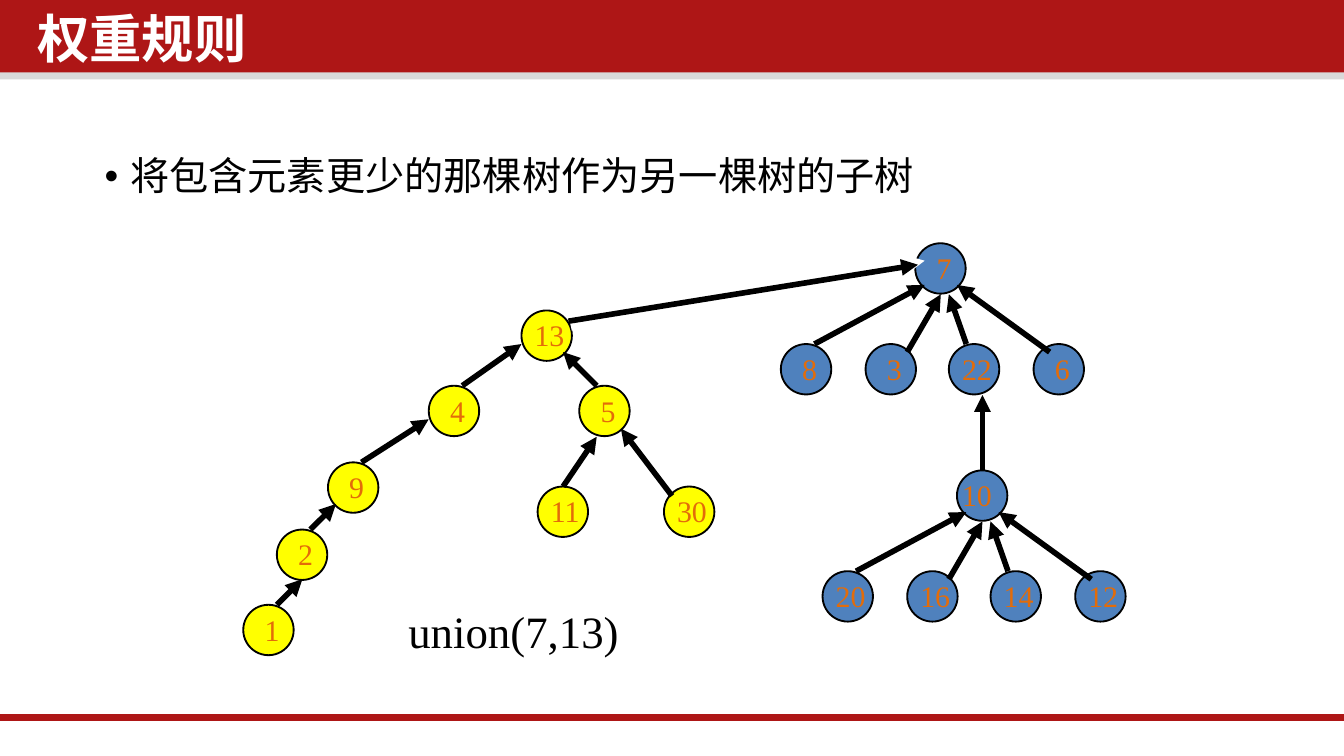
from lxml.etree import SubElement
from pptx import Presentation
from pptx.dml.color import RGBColor
from pptx.enum.shapes import MSO_CONNECTOR, MSO_SHAPE
from pptx.oxml.ns import qn
from pptx.util import Inches, Pt

COLORS = {
    "red": "AE1616", "gray": "D9D9D9", "white": "FFFFFF", "black": "000000",
    "yellow": "FFFF00", "blue": "4F81BD", "orange": "E36C09",
}
SERIF = "Times New Roman"
NODE_SIZE = 3 / 8

# Each node: label, left, top
LIGHT_NODES = [
    ("13", 3.88, 2.31), ("4", 3.19, 2.87), ("5", 4.31, 2.87),
    ("9", 2.44, 3.44), ("11", 4, 3.62), ("30", 4.94, 3.62),
    ("2", 2.06, 3.94), ("1", 1.81, 4.5),
]
# Each edge: point on the parent, point on the child
LIGHT_EDGES = [
    ((3.88, 2.56), (3.44, 2.87)), ((3.19, 3.12), (2.69, 3.44)),
    ((4.19, 2.62), (4.44, 2.87)), ((2.5, 3.75), (2.31, 3.94)),
    ((4.44, 3.25), (4.19, 3.62)), ((4.62, 3.19), (5, 3.69)),
    ((2.25, 4.31), (2.06, 4.5)),
]
# Both fans of the blue tree share these offsets from their root
FAN_CHILD_LEFTS = [-1, -0.37, 0.25, 0.88]
FAN_CHILD_TOP = 0.75
FAN_EDGES = [
    ((0.07, 0.31), (-0.75, 0.75)), ((0.19, 0.38), (-0.06, 0.81)),
    ((0.25, 0.38), (0.38, 0.75)), ((0.31, 0.31), (1, 0.81)),
]
FANS = [
    ("7", 6.81, 1.81, ["8", "3", "22", "6"]),
    ("10", 7.12, 3.5, ["20", "16", "14", "12"]),
]


def rgb(color):
    return RGBColor.from_string(COLORS[color])


class SlideBuilder:
    def __init__(self, slide):
        self.slide = slide
        self.shapes = slide.shapes

    def start_group(self):
        """Send the following elements into a new group."""
        self.shapes = self.slide.shapes.add_group_shape().shapes

    def end_group(self):
        self.shapes = self.slide.shapes

    def shape(self, kind, left, top, width, height, fill, outline=None):
        shape = self.shapes.add_shape(
            kind, Inches(left), Inches(top), Inches(width), Inches(height))
        shape.shadow.inherit = False
        shape.fill.solid()
        shape.fill.fore_color.rgb = rgb(fill)
        if outline:
            shape.line.color.rgb = rgb(outline)
            shape.line.width = Pt(1)
        else:
            shape.line.fill.background()

    def text(self, words, left, top, width, height, size, font, color):
        box = self.shapes.add_textbox(
            Inches(left), Inches(top), Inches(width), Inches(height))
        frame = box.text_frame
        frame.word_wrap = True
        paragraph = frame.paragraphs[0]
        paragraph.text = words
        paragraph.font.size = Pt(size)
        paragraph.font.name = font
        paragraph.font.color.rgb = rgb(color)
        return frame

    def heading(self, words):
        frame = self.text(words, 0.21, 0.06, 7.64, 0.59,
                          28, "Noto Sans CJK SC", "white")
        frame.margin_left = frame.margin_right = Inches(0.07)
        frame.margin_top = frame.margin_bottom = Inches(0.04)
        paragraph = frame.paragraphs[0]
        paragraph.font.bold = True
        paragraph.line_spacing = 0.9
        paragraph.space_before = Pt(7.5)

    def bullet(self, words):
        frame = self.text(words, 0.68, 1.12, 8.88, 3.47, 21, "Cabin", "black")
        paragraph = frame.paragraphs[0]
        paragraph.line_spacing = 0.9
        paragraph.space_before = Pt(7.5)
        properties = paragraph._p.get_or_add_pPr()
        properties.set("marL", str(Inches(0.19)))
        properties.set("indent", str(-Inches(0.19)))
        font = SubElement(properties, qn("a:buFont"), typeface="Arial")
        mark = SubElement(properties, qn("a:buChar"), char="•")
        for element in (font, mark):
            properties.find(qn("a:defRPr")).addprevious(element)

    def node(self, label, left, top, fill, label_shift=None):
        self.shape(MSO_SHAPE.OVAL, left, top, NODE_SIZE, NODE_SIZE,
                   fill, "black")
        single = len(label) == 1
        if label_shift is None:
            label_shift = 0.06 if single else 0
        self.text(label, left + label_shift, top, 0.25 if single else 0.56,
                  0.37, 16, SERIF, "orange")

    def line(self, start, end, color, width, arrow_at=None):
        """Draw a line; arrow_at is headEnd (start), tailEnd (end) or None."""
        line = self.shapes.add_connector(
            MSO_CONNECTOR.STRAIGHT, *map(Inches, start + end))
        line.line.color.rgb = rgb(color)
        line.line.width = Pt(width)
        if arrow_at:
            SubElement(line.line._get_or_add_ln(), qn(f"a:{arrow_at}"),
                       type="triangle")
        SubElement(line._element.spPr, qn("a:effectLst"))

    def edge(self, parent, child):
        self.line(parent, child, "black", 3, "headEnd")


def main():
    deck = Presentation()
    deck.slide_width = Inches(10)
    deck.slide_height = deck.slide_width * 9 // 16
    page = SlideBuilder(deck.slides.add_slide(deck.slide_layouts[6]))

    page.shape(MSO_SHAPE.RECTANGLE, 0, 0.5, 10, 0.09, "gray")
    page.shape(MSO_SHAPE.RECTANGLE, 0, 0, 10, 0.54, "red")
    page.line((-0.02, 5.34), (10, 5.34), "red", 4)
    page.heading("权重规则")
    page.bullet("将包含元素更少的那棵树作为另一棵树的子树")

    page.start_group()
    for label, left, top in LIGHT_NODES:
        page.node(label, left, top, "yellow")
    for parent, child in LIGHT_EDGES:
        page.edge(parent, child)

    page.start_group()
    for root, left, top, children in FANS:
        page.node(root, left, top, "blue", -0.06 if root == "10" else None)
        for child, offset in zip(children, FAN_CHILD_LEFTS):
            page.node(child, left + offset, top + FAN_CHILD_TOP, "blue")
        for ends in FAN_EDGES:
            page.edge(*[(left + x, top + y) for x, y in ends])
    page.edge((7.31, 2.94), (7.31, 3.5))
    page.end_group()

    page.text("union(7,13)", 2.94, 4.44, 1.94, 0.5, 24, SERIF, "black")
    page.line((4.25, 2.44), (6.88, 1.94), "white", 3, "tailEnd")
    page.line((4.23, 2.39), (6.83, 1.97), "black", 3, "tailEnd")
    deck.save("out.pptx")


if __name__ == "__main__":
    main()
